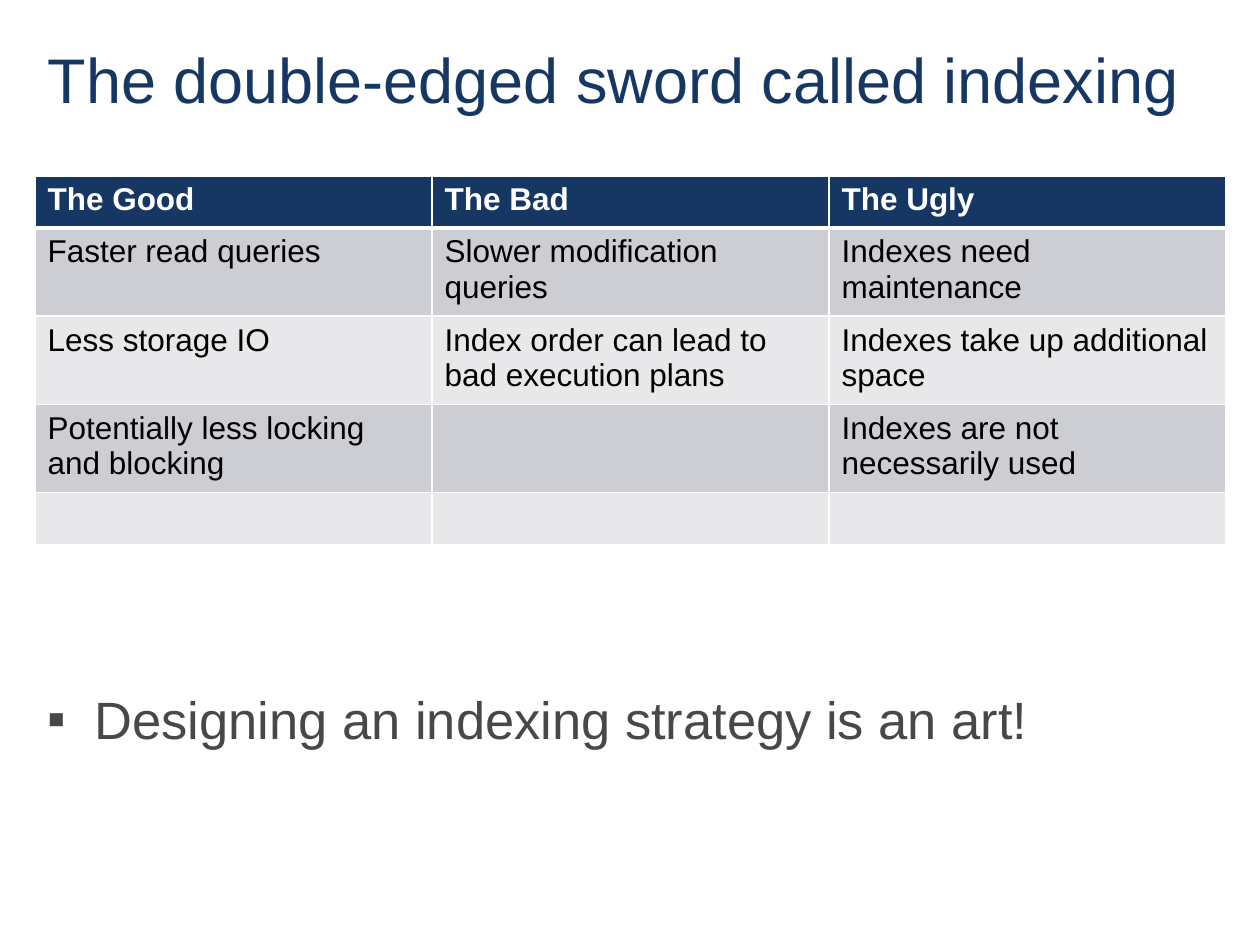
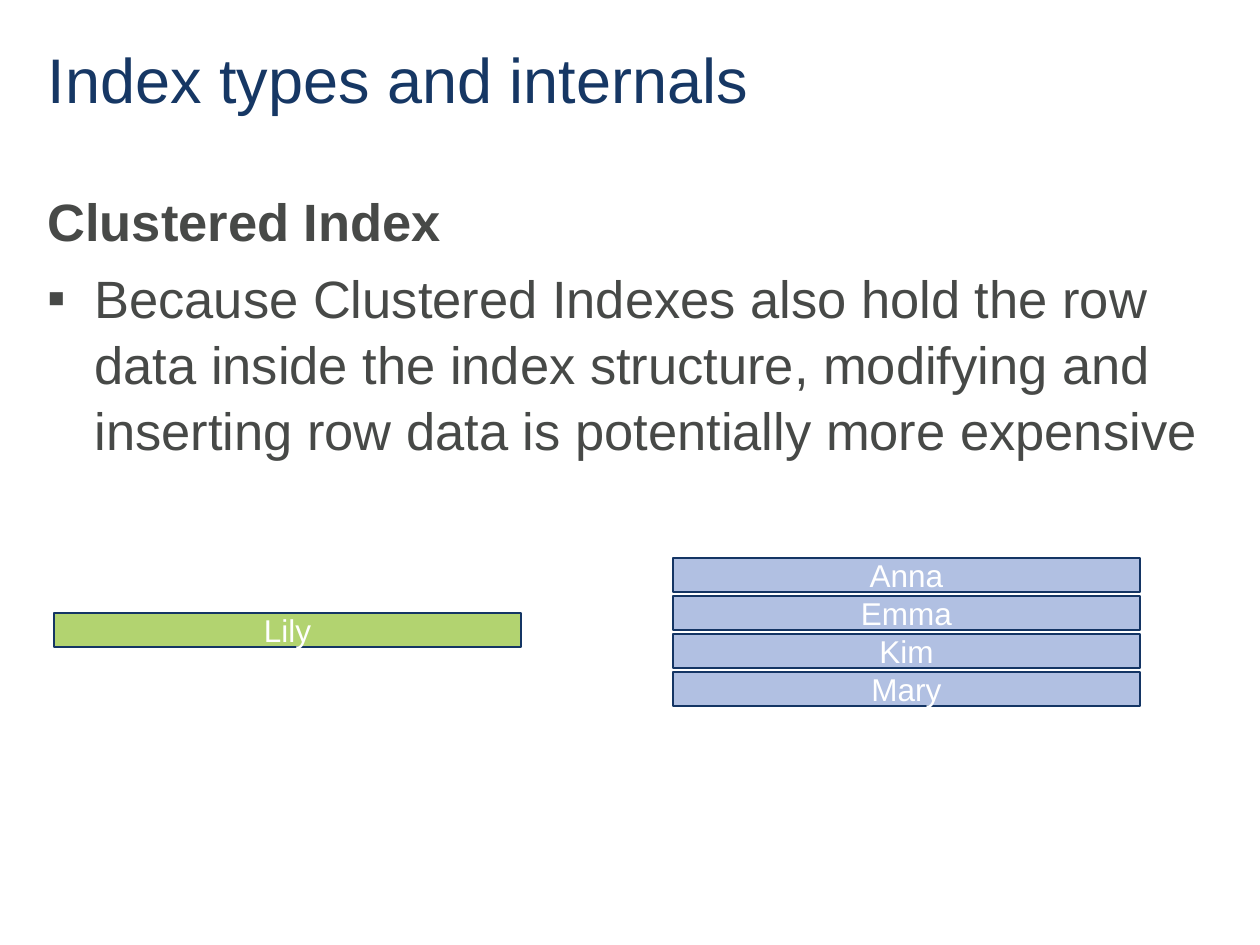
from dataclasses import dataclass

from lxml.etree import SubElement
from pptx import Presentation
from pptx.dml.color import RGBColor
from pptx.enum.shapes import MSO_SHAPE
from pptx.enum.text import MSO_ANCHOR, PP_ALIGN
from pptx.oxml.ns import qn
from pptx.util import Emu, Pt


@dataclass(frozen=True)
class Theme:
    font: str = "Arial"
    navy: str = "163764"
    outline: str = "143564"
    body: str = "474947"
    white: str = "FFFFFF"
    black: str = "000000"
    bands: tuple = ("CCCED3", "E8E8EA")
    page: str = "B1C0E2"
    new_row: str = "B2D370"
    title_size: int = 36
    body_size: int = 30
    small_size: int = 18


theme = Theme()


def px(n):
    """Turn pixels at 126 to the inch into EMU."""
    return Emu(round(n * 914400 / 126))


def style(p, size, color, bold=False):
    for r in p.runs:
        r.font.name = theme.font
        r.font.size = Pt(size)
        r.font.bold = bold
        r.font.color.rgb = RGBColor.from_string(color)


prs = Presentation()
prs.slide_width, prs.slide_height = px(1260), px(945)

# Titles and body text: (title, body top, body height, [(text, is bullet)])
outline = [
    ("The double-edged sword called indexing", 674, 97,
     [("Designing an indexing strategy is an art!", True)]),
    ("Index types and internals", 176, 669,
     [("Clustered Index", False),
      ("Because Clustered Indexes also hold the row data inside the index structure, "
       "modifying and inserting row data is potentially more expensive", True)]),
]
slides = []
for title, top, height, paragraphs in outline:
    s = prs.slides.add_slide(prs.slide_layouts[5])
    slides.append(s)
    sp = s.shapes.title
    sp.left, sp.top, sp.width, sp.height = px(35), px(26), px(1190), px(100)
    tf = sp.text_frame
    tf.text = title
    tf.vertical_anchor = MSO_ANCHOR.MIDDLE
    p = tf.paragraphs[0]
    p.alignment = PP_ALIGN.LEFT
    p.line_spacing = 1.05
    style(p, theme.title_size, theme.navy)

    tf = s.shapes.add_textbox(px(35), px(top), px(1190), px(height)).text_frame
    tf.word_wrap = True
    tf.margin_top = px(10)
    for i, (text, bullet) in enumerate(paragraphs):
        p = tf.add_paragraph() if i else tf.paragraphs[0]
        p.text = text
        p.line_spacing = 1.05
        if i:
            p.space_before = Pt(6)
        if bullet:
            pPr = p._p.get_or_add_pPr()
            pPr.set("marL", str(px(47)))
            pPr.set("indent", str(-px(47)))
            SubElement(pPr, qn("a:buFont"), typeface=theme.font)
            SubElement(pPr, qn("a:buChar"), char="▪")
        style(p, theme.body_size, theme.body, bold=not bullet)

# Slide 1: advantages and drawbacks
rows = [
    ("The Good", "The Bad", "The Ugly"),
    ("Faster read queries", "Slower modification queries", "Indexes need maintenance"),
    ("Less storage IO", "Index order can lead to bad execution plans",
     "Indexes take up additional space"),
    ("Potentially less locking and blocking", "", "Indexes are not necessarily used"),
    ("", "", ""),
]
row_heights = (52, 83, 83, 83, 52)
table = slides[0].shapes.add_table(
    len(rows), 3, px(35), px(176), px(1190), px(sum(row_heights))).table
for column in table.columns:
    column.width = px(397)
for i, row in enumerate(rows):
    table.rows[i].height = px(row_heights[i])
    for j, text in enumerate(row):
        cell = table.cell(i, j)
        cell.text = text
        tcPr = cell._tc.get_or_add_tcPr()
        for side in "LRTB":
            thick = (i, side) in ((0, "B"), (1, "T"))
            ln = SubElement(tcPr, qn(f"a:ln{side}"), w=str(Pt(3 if thick else 1)))
            fill = SubElement(ln, qn("a:solidFill"))
            SubElement(fill, qn("a:srgbClr"), val=theme.white)
        cell.fill.solid()
        cell.fill.fore_color.rgb = RGBColor.from_string(
            theme.bands[(i - 1) % 2] if i else theme.navy)
        style(cell.text_frame.paragraphs[0], theme.small_size,
              theme.black if i else theme.white, bold=i == 0)

# Slide 2: rows of the index page, and the row to be inserted
names = ("Anna", "Emma", "Kim", "Mary")
bars = [(name, 673, 558 + 38 * i, theme.page) for i, name in enumerate(names)]
bars.append(("Lily", 54, 613, theme.new_row))
for name, left, top, color in bars:
    sp = slides[1].shapes.add_shape(
        MSO_SHAPE.RECTANGLE, px(left), px(top), px(467), px(34))
    sp.shadow.inherit = False
    sp.fill.solid()
    sp.fill.fore_color.rgb = RGBColor.from_string(color)
    sp.line.color.rgb = RGBColor.from_string(theme.outline)
    sp.line.width = Pt(0.75)
    tf = sp.text_frame
    tf.text = name
    tf.vertical_anchor = MSO_ANCHOR.MIDDLE
    p = tf.paragraphs[0]
    p.alignment = PP_ALIGN.CENTER
    style(p, theme.small_size, theme.white)

prs.save("out.pptx")
